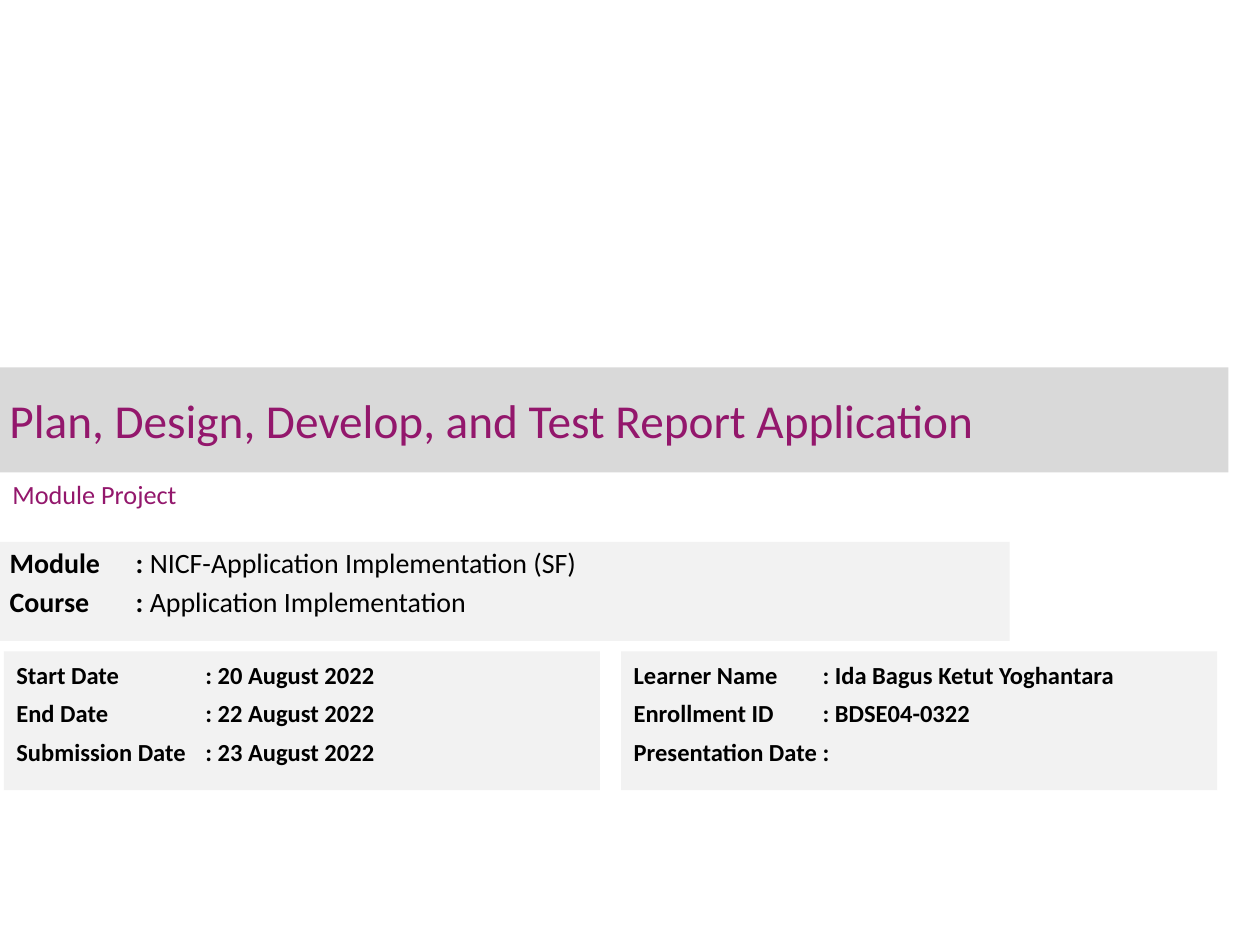
from lxml import etree
from pptx import Presentation
from pptx.dml.color import RGBColor
from pptx.enum.shapes import MSO_SHAPE
from pptx.enum.text import MSO_ANCHOR, PP_ALIGN
from pptx.oxml.ns import qn
from pptx.util import Pt

RECTANGLE = MSO_SHAPE.RECTANGLE
TOP, MIDDLE = MSO_ANCHOR.TOP, MSO_ANCHOR.MIDDLE
LEFT = PP_ALIGN.LEFT

PURPLE = RGBColor(0x93, 0x17, 0x6C)
BLACK = RGBColor(0, 0, 0)
BAND_GRAY = RGBColor(0xD9, 0xD9, 0xD9)
PANEL_GRAY = RGBColor(0xF2, 0xF2, 0xF2)
FONT = "Calibri"

TITLE = "Plan, Design, Develop, and Test Report Application"
SUBTITLE = "Module Project"
MODULE = [
    ("Module", "NICF-Application Implementation (SF)"),
    ("Course", "Application Implementation"),
]
DETAILS = [
    [
        ("Start Date", "20 August 2022"),
        ("End Date", "22 August 2022"),
        ("Submission Date", "23 August 2022"),
    ],
    [
        ("Learner Name", "Ida Bagus Ketut Yoghantara"),
        ("Enrollment ID", "BDSE04-0322"),
        ("Presentation Date", ""),
    ],
]
DETAIL_LEFT, DETAIL_TOP = 2.3, 372.2
DETAIL_WIDTH, DETAIL_HEIGHT, DETAIL_GAP = 340.5, 79.3, 12.2


def add_panel(page, left, top, width, height, fill):
    panel = page.shapes.add_shape(RECTANGLE, Pt(left), Pt(top), Pt(width), Pt(height))
    panel.shadow.inherit = False
    panel.fill.solid()
    panel.fill.fore_color.rgb = fill
    panel.line.fill.background()
    panel.text_frame.word_wrap = True
    panel.text_frame.vertical_anchor = TOP
    return panel


def add_text(para, text, size, color=BLACK, bold=False):
    para.alignment = LEFT
    span = para.add_run()
    span.text = text
    span.font.name = FONT
    span.font.size = Pt(size)
    span.font.bold = bold
    span.font.color.rgb = color


def add_fields(panel, fields, size, tab, bold_values):
    frame = panel.text_frame
    for index, (label, value) in enumerate(fields):
        para = frame.add_paragraph() if index else frame.paragraphs[0]
        para.line_spacing = Pt(18)
        para.space_before = para.space_after = Pt(2)
        add_text(para, f"{label}\t: ", size, bold=True)
        if value:
            add_text(para, value, size, bold=bold_values)
        stops = etree.SubElement(para._p.get_or_add_pPr(), qn("a:tabLst"))
        etree.SubElement(stops, qn("a:tab"), pos=str(Pt(tab)), algn="l")


def main():
    deck = Presentation()
    deck.slide_width, deck.slide_height = Pt(720), Pt(540)
    page = deck.slides.add_slide(deck.slide_layouts[6])

    band = add_panel(page, 0, 210, 702, 60, BAND_GRAY)
    frame = band.text_frame
    frame.vertical_anchor = MIDDLE
    frame.margin_left = frame.margin_right = Pt(5.4)
    frame.margin_top = frame.margin_bottom = Pt(2.7)
    add_text(frame.paragraphs[0], TITLE, 27, color=PURPLE)

    box = page.shapes.add_textbox(Pt(0), Pt(259.5), Pt(462), Pt(45))
    box.text_frame.word_wrap = True
    box.text_frame.vertical_anchor = MIDDLE
    add_text(box.text_frame.paragraphs[0], SUBTITLE, 15, color=PURPLE)

    module = add_panel(page, -1.5, 309.6, 578.5, 56.7, PANEL_GRAY)
    add_fields(module, MODULE, 16, 72, bold_values=False)

    for column, fields in enumerate(DETAILS):
        left = DETAIL_LEFT + column * (DETAIL_WIDTH + DETAIL_GAP)
        panel = add_panel(page, left, DETAIL_TOP, DETAIL_WIDTH, DETAIL_HEIGHT, PANEL_GRAY)
        add_fields(panel, fields, 14, 108, bold_values=True)

    deck.save("out.pptx")


if __name__ == "__main__":
    main()
